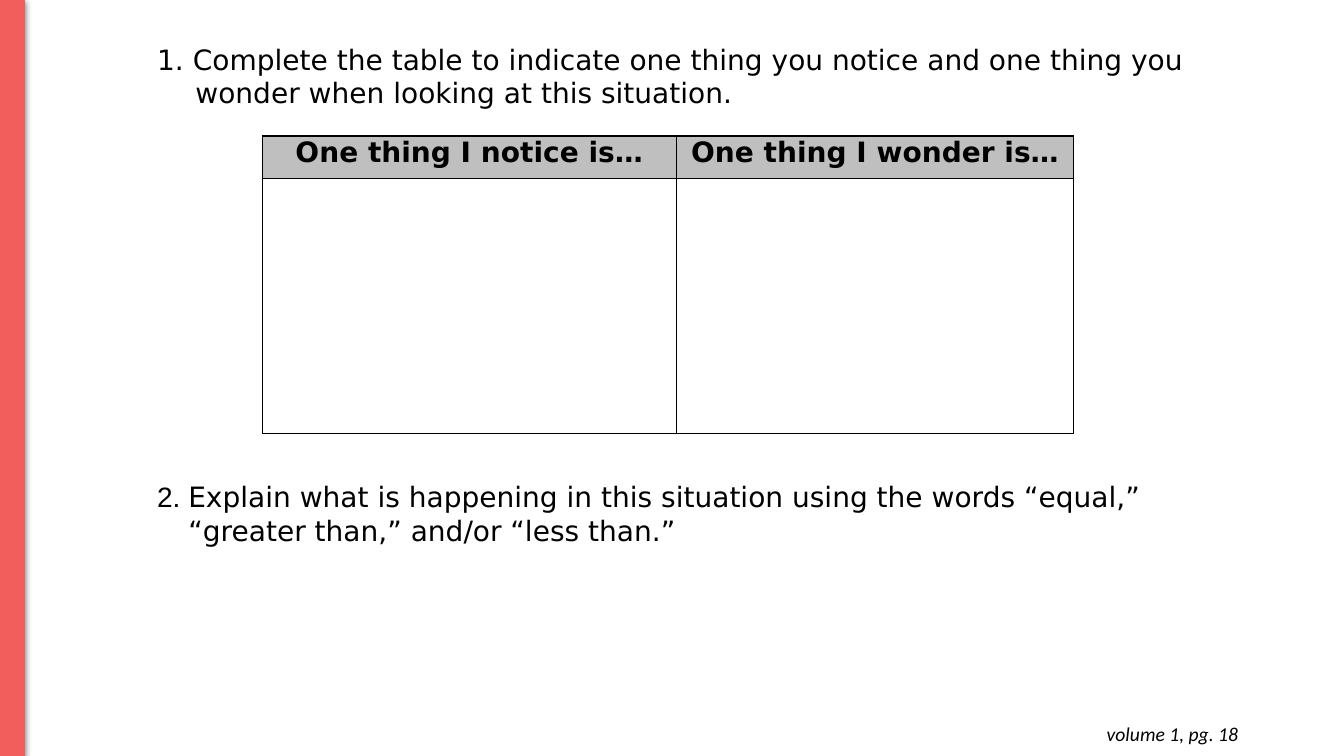
"""Build a worksheet slide with two questions and a notice/wonder table."""
from lxml import etree
from pptx import Presentation
from pptx.dml.color import RGBColor
from pptx.enum import shapes, text
from pptx.oxml import ns
from pptx.util import Inches, Pt

CORAL = RGBColor(0xF2, 0x5E, 0x5B)
BLACK = RGBColor(0, 0, 0)
GREY = RGBColor(0xBF, 0xBF, 0xBF)
BODY_FONT = "DejaVu Sans"
HEADINGS = ("One thing I notice is…", "One thing I wonder is…")


def style(font, name, size, bold=False, italic=False):
    """Set a black font in the given face and size."""
    font.name, font.size = name, Pt(size)
    font.bold, font.italic = bold, italic
    font.color.rgb = BLACK


def add_sidebar(slide, left, top, width, height):
    """Draw the coral bar with its soft shadow."""
    sidebar = slide.shapes.add_shape(
        shapes.MSO_SHAPE.RECTANGLE, left, top, width, height)
    sidebar.shadow.inherit = False
    sidebar.fill.solid()
    sidebar.fill.fore_color.rgb = CORAL
    sidebar.line.color.rgb = CORAL
    sidebar.line.width = Pt(0.75)
    effects = sidebar._element.spPr.find(ns.qn("a:effectLst"))
    shadow = etree.SubElement(
        effects, ns.qn("a:outerShdw"), blurRad=str(Pt(4.5)),
        dist=str(Pt(1.5)), dir="5400000", rotWithShape="0")
    shade = etree.SubElement(shadow, ns.qn("a:srgbClr"), val=str(BLACK))
    etree.SubElement(shade, ns.qn("a:alpha"), val="50000")


def add_question(slide, left, top, width, height, number, wording, indent,
                 number_font=BODY_FONT):
    """Write a numbered question with a hanging indent."""
    frame = slide.shapes.add_textbox(left, top, width, height).text_frame
    frame.word_wrap = True
    question = frame.paragraphs[0]
    properties = question._p.get_or_add_pPr()
    properties.set("marL", str(indent))
    properties.set("indent", str(-indent))
    style(question.font, BODY_FONT, 20)
    label = question.add_run()
    label.text = f"{number}. "
    if number_font != BODY_FONT:
        label.font.name = number_font
    question.add_run().text = wording


def add_borders(cell):
    """Give a cell a thin black line on every side."""
    properties = cell._tc.get_or_add_tcPr()
    for position, side in enumerate(("lnL", "lnR", "lnT", "lnB")):
        border = etree.Element(ns.qn(f"a:{side}"), w=str(Pt(1)))
        fill = etree.SubElement(border, ns.qn("a:solidFill"))
        etree.SubElement(fill, ns.qn("a:srgbClr"), val=str(BLACK))
        properties.insert(position, border)


def add_notice_table(slide, left, top, width, height):
    """Place the table with grey headings above empty answer cells."""
    notice_table = slide.shapes.add_table(
        2, len(HEADINGS), left, top, width, height).table
    notice_table.columns[0].width = Inches(4.11)
    notice_table.columns[1].width = width - Inches(4.11)
    notice_table.rows[0].height = Inches(0.42)
    notice_table.rows[1].height = height - Inches(0.42)
    for column, wording in enumerate(HEADINGS):
        heading = notice_table.cell(0, column)
        answer = notice_table.cell(1, column)
        heading.margin_left = heading.margin_right = Inches(0.07)
        heading.margin_top = heading.margin_bottom = 0
        heading.fill.solid()
        heading.fill.fore_color.rgb = GREY
        answer.fill.background()
        heading.text = wording
        title = heading.text_frame.paragraphs[0]
        title.alignment = text.PP_ALIGN.CENTER
        style(title.font, BODY_FONT, 20, bold=True)
        add_borders(heading)
        add_borders(answer)


def add_page_reference(slide, left, top, width, height):
    """Write the volume and page at the bottom right."""
    frame = slide.shapes.add_textbox(left, top, width, height).text_frame
    frame.word_wrap = True
    frame.margin_top = frame.margin_bottom = Inches(0.1)
    reference = frame.paragraphs[0]
    reference.text = "volume 1, pg. 18"
    reference.alignment = text.PP_ALIGN.RIGHT
    style(reference.font, "Calibri", 14, italic=True)


def main():
    """Assemble and save the slide."""
    deck = Presentation()
    deck.slide_width, deck.slide_height = Inches(13.33), Inches(7.5)
    slide = deck.slides.add_slide(deck.slide_layouts[6])
    left, width, height = Inches(1.46), Inches(10.42), Inches(0.75)
    add_question(
        slide, left, Inches(0.37), width, height, 1,
        "Complete the table to indicate one thing you notice and one thing "
        "you wonder when looking at this situation.", Inches(0.38))
    add_question(
        slide, left, Inches(4.71), width, height, 2,
        "Explain what is happening in this situation using the words "
        "“equal,” “greater than,” and/or “less than.”", Inches(0.31), "Arial")
    add_sidebar(slide, 0, 0, Inches(0.24), deck.slide_height)
    add_notice_table(
        slide, Inches(2.6), Inches(1.35), Inches(8.05), Inches(2.95))
    add_page_reference(
        slide, Inches(9.5), Inches(7.06), Inches(2.88), Inches(0.44))
    deck.save("out.pptx")


if __name__ == "__main__":
    main()
